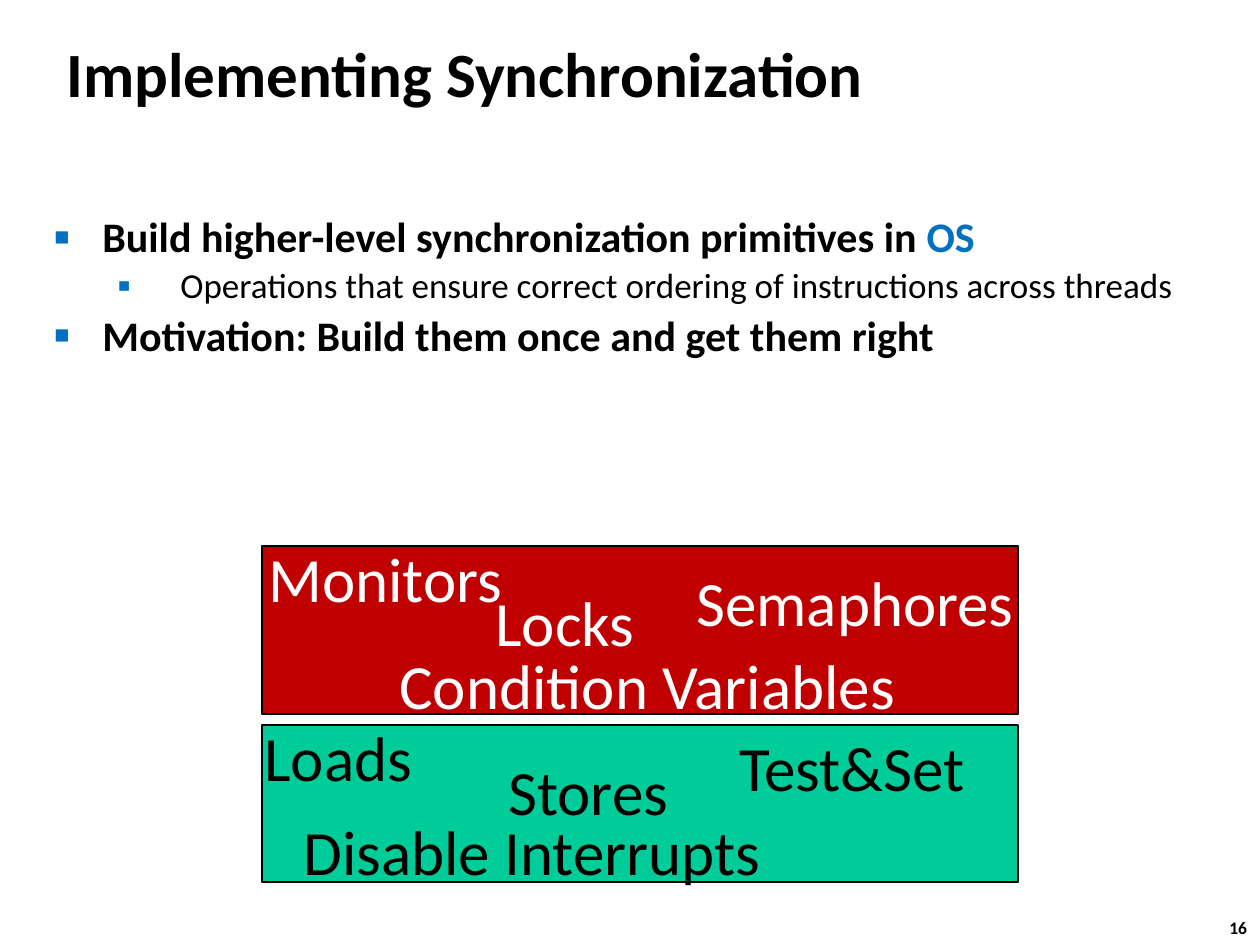
from lxml.etree import SubElement
from pptx import Presentation
from pptx.dml.color import RGBColor
from pptx.enum.shapes import MSO_SHAPE as Preset
from pptx.enum.text import MSO_ANCHOR as Anchor
from pptx.oxml.ns import qn
from pptx.util import Emu, Pt

PX = 914400 / 126
BLACK = RGBColor(0x00, 0x00, 0x00)
WHITE = RGBColor(0xFF, 0xFF, 0xFF)
BLUE = RGBColor(0x00, 0x70, 0xC0)
RED = RGBColor(0xC0, 0x00, 0x00)
GREEN = RGBColor(0x00, 0xCC, 0x99)


def px(*lengths):
    return [Emu(round(length * PX)) for length in lengths]


class SlideBuilder:
    font_name = "Calibri"

    def __init__(self, presentation):
        self.slide = presentation.slides.add_slide(presentation.slide_layouts[6])

    def style(self, run, size, color, bold=False):
        font = run.font
        font.name, font.size, font.bold = self.font_name, Pt(size), bold
        font.color.rgb = color

    def frame(self, box, wrap=True):
        text_frame = self.slide.shapes.add_textbox(*px(*box)).text_frame
        text_frame.word_wrap = wrap
        return text_frame

    def label(self, text, box, size=36, color=BLACK, bold=False, wrap=False):
        text_frame = self.frame(box, wrap)
        text_frame.text = text
        self.style(text_frame.paragraphs[0].runs[0], size, color, bold)
        return text_frame

    def panel(self, box, color):
        shape = self.slide.shapes.add_shape(Preset.RECTANGLE, *px(*box))
        shape.shadow.inherit = False
        shape.fill.solid()
        shape.fill.fore_color.rgb = color
        shape.line.color.rgb = BLACK
        shape.line.width = Pt(0.75)

    def bullet(self, paragraph, level):
        margin, hanging, percent, symbol = ((48, 48, 60, "■"), (126, 63, 110, "▪"))[level]
        properties = paragraph._p.get_or_add_pPr()
        left, indent = px(margin, -hanging)
        properties.set("marL", str(left))
        properties.set("indent", str(indent))
        color = SubElement(properties, qn("a:buClr"))
        SubElement(color, qn("a:srgbClr"), val=str(BLUE))
        SubElement(properties, qn("a:buSzPct"), val=str(percent * 1000))
        SubElement(properties, qn("a:buFont"), typeface="Arial")
        SubElement(properties, qn("a:buChar"), char=symbol)

    def bullets(self, items, box):
        text_frame = self.frame(box)
        for index, (level, parts) in enumerate(items):
            paragraph = text_frame.add_paragraph() if index else text_frame.paragraphs[0]
            size = (24, 20)[level]
            paragraph.level = level
            self.bullet(paragraph, level)
            paragraph.line_spacing = 0.9
            if index:
                paragraph.space_before = Pt(size * 0.2)
            for text, color in parts:
                run = paragraph.add_run()
                run.text = text
                self.style(run, size, color, bold=level == 0)


def main():
    presentation = Presentation()
    presentation.slide_width, presentation.slide_height = px(1260, 945)
    builder = SlideBuilder(presentation)

    builder.label("16", (1217, 911, 47, 34), size=10, bold=True)
    title = builder.label("Implementing Synchronization", (54, 20, 1046, 105),
                          bold=True, wrap=True)
    title.vertical_anchor = Anchor.MIDDLE

    builder.bullets([
        (0, [("Build higher-level synchronization primitives in ", BLACK), ("OS", BLUE)]),
        (1, [("Operations that ensure correct ordering of instructions across threads", BLACK)]),
        (0, [("Motivation: Build them once and get them right", BLACK)]),
    ], (42, 210, 1196, 294))

    layers = [
        ((262, 546, 756, 168), RED, WHITE, [
            ("Monitors", 256, 533, 261),
            ("Semaphores", 684, 557, 345),
            ("Condition Variables", 387, 640, 525),
            ("Locks", 483, 577, 228),
        ]),
        ((262, 725, 756, 157), GREEN, BLACK, [
            ("Loads", 252, 712, 179),
            ("Stores", 496, 746, 188),
            ("Test&Set", 727, 722, 253),
            ("Disable Interrupts", 291, 806, 486),
        ]),
    ]
    for box, fill, _, _ in layers:
        builder.panel(box, fill)
    for _, _, color, primitives in layers:
        for text, left, top, width in primitives:
            builder.label(text, (left, top, width, 89), color=color, wrap=text == "Locks")

    presentation.save("out.pptx")


if __name__ == "__main__":
    main()
